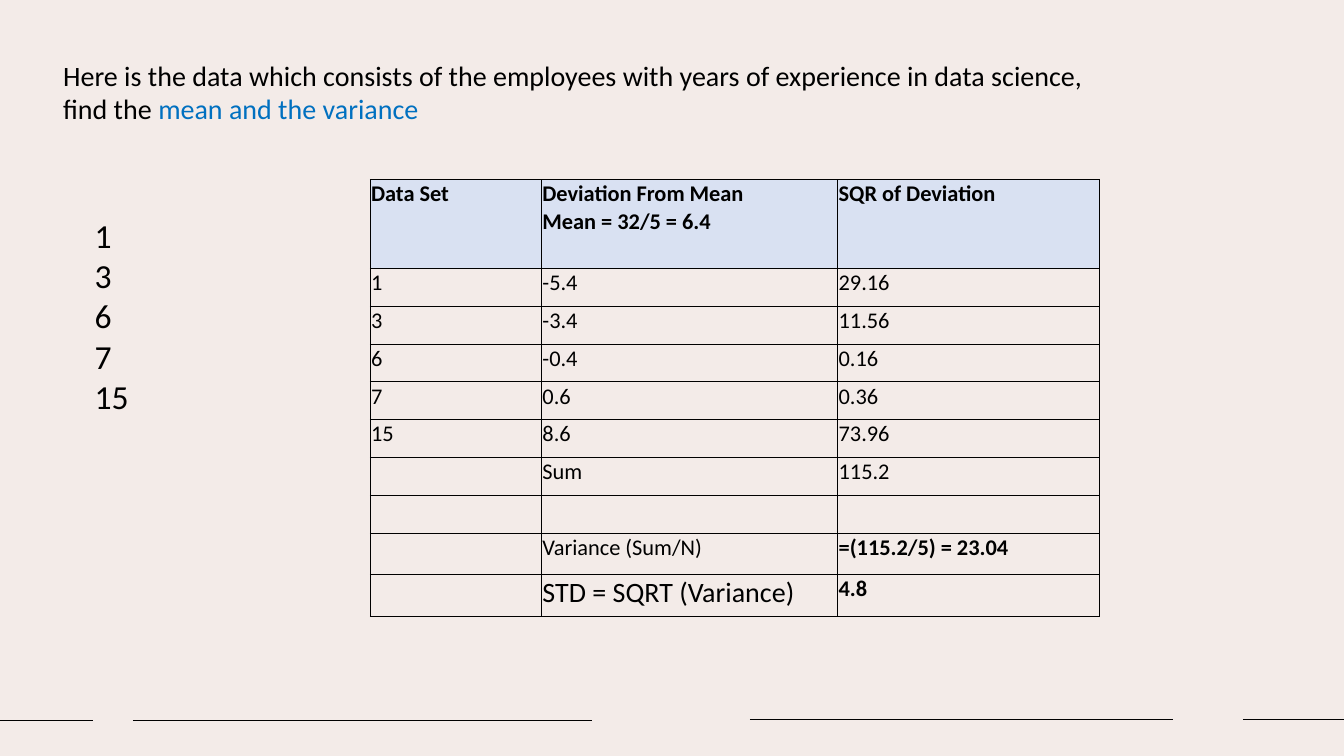
from lxml import etree
from pptx import Presentation
from pptx.dml.color import RGBColor
from pptx.enum.shapes import MSO_CONNECTOR
from pptx.oxml.ns import qn
from pptx.util import Pt

STRAIGHT = MSO_CONNECTOR.STRAIGHT
FONT = "Calibri"
BLACK, BLUE, HEADER_FILL, BACKGROUND = "000000", "0070C0", "D9E1F2", "F3EBE8"

QUESTION = [
    ["Here is the data which consists of the employees with years of experience in data science,"],
    ["find the ", "mean and the variance"],
]
YEARS = ["1", "3", "6", "7", "15"]
COLUMN_WIDTHS = [122.4, 211.6, 187.2]
ROW_HEIGHTS = [63.4] + [27.05] * 7 + [29.6] * 2
CALCULATION = [
    ["Data Set", "Deviation From Mean\nMean = 32/5 = 6.4", "SQR of Deviation"],
    ["1", "-5.4", "29.16"],
    ["3", "-3.4", "11.56"],
    ["6", "-0.4", "0.16"],
    ["7", "0.6", "0.36"],
    ["15", "8.6", "73.96"],
    ["", "Sum", "115.2"],
    ["", "", ""],
    ["", "Variance (Sum/N)", "=(115.2/5) = 23.04"],
    ["", "STD = SQRT (Variance)", "4.8"],
]
BOLD_CELLS = {(0, 0), (0, 1), (0, 2), (8, 2), (9, 2)}
LARGE_CELL = (9, 1)


def color(hex_string):
    return RGBColor.from_string(hex_string)


def style_run(run, size, hex_string=BLACK, bold=False):
    run.font.name = FONT
    run.font.size = Pt(size)
    run.font.bold = bold
    run.font.color.rgb = color(hex_string)


def add_text_frame(slide, left, top, width, height, wrap):
    box = slide.shapes.add_textbox(Pt(left), Pt(top), Pt(width), Pt(height))
    box.text_frame.word_wrap = wrap
    return box.text_frame


def add_question(slide, left, top, width, height):
    frame = add_text_frame(slide, left, top, width, height, True)
    for index, parts in enumerate(QUESTION):
        line = frame.add_paragraph() if index else frame.paragraphs[0]
        for part, hex_string in zip(parts, [BLACK, BLUE]):
            run = line.add_run()
            run.text = part
            style_run(run, 20, hex_string)


def add_years(slide, left, top, width, height):
    frame = add_text_frame(slide, left, top, width, height, False)
    frame.text = "\n".join(YEARS)
    for year in frame.paragraphs:
        style_run(year.runs[0], 24)


def add_borders(cell):
    properties = cell._tc.get_or_add_tcPr()
    for side in ("a:lnL", "a:lnR", "a:lnT", "a:lnB"):
        border = etree.SubElement(properties, qn(side), w=str(Pt(0.5)))
        fill = etree.SubElement(border, qn("a:solidFill"))
        etree.SubElement(fill, qn("a:srgbClr"), val=BLACK)


def add_calculation(slide, left, top):
    frame = slide.shapes.add_table(
        len(ROW_HEIGHTS), len(COLUMN_WIDTHS), Pt(left), Pt(top),
        Pt(sum(COLUMN_WIDTHS)), Pt(sum(ROW_HEIGHTS)))
    table = frame.table
    table.first_row = table.horz_banding = False
    for column, width in zip(table.columns, COLUMN_WIDTHS):
        column.width = Pt(width)
    for row, height in zip(table.rows, ROW_HEIGHTS):
        row.height = Pt(height)

    for r, values in enumerate(CALCULATION):
        for c, value in enumerate(values):
            cell = table.cell(r, c)
            cell.margin_left = cell.margin_right = cell.margin_top = Pt(0.7)
            cell.margin_bottom = Pt(0)
            add_borders(cell)
            if r == 0:
                cell.fill.solid()
                cell.fill.fore_color.rgb = color(HEADER_FILL)
            else:
                cell.fill.background()
            cell.text_frame.text = value
            size = 20 if (r, c) == LARGE_CELL else 16
            for paragraph in cell.text_frame.paragraphs:
                for run in paragraph.runs:
                    style_run(run, size, bold=(r, c) in BOLD_CELLS)


def add_footer_rules(slide, left, top):
    # Start, end and vertical offset of each dash
    for start, end, drop in [(0, 66.2, 0.7), (95, 422.6, 0.7),
                             (535.7, 838, 0), (887.8, 960, 0)]:
        y = Pt(top + drop)
        rule = slide.shapes.add_connector(
            STRAIGHT, Pt(left + start), y, Pt(left + end), y)
        rule.line.color.rgb = color(BLACK)
        rule.line.width = Pt(1)
        etree.SubElement(rule._element.spPr, qn("a:effectLst"))


def main():
    presentation = Presentation()
    presentation.slide_width, presentation.slide_height = Pt(960), Pt(540)
    slide = presentation.slides.add_slide(presentation.slide_layouts[6])
    slide.background.fill.solid()
    slide.background.fill.fore_color.rgb = color(BACKGROUND)

    add_footer_rules(slide, 0, 513.8)
    add_question(slide, 38, 38, 754.6, 55.4)
    add_years(slide, 60.5, 149.8, 38.9, 181.4)
    add_calculation(slide, 264.4, 128.2)
    presentation.save("out.pptx")


if __name__ == "__main__":
    main()
